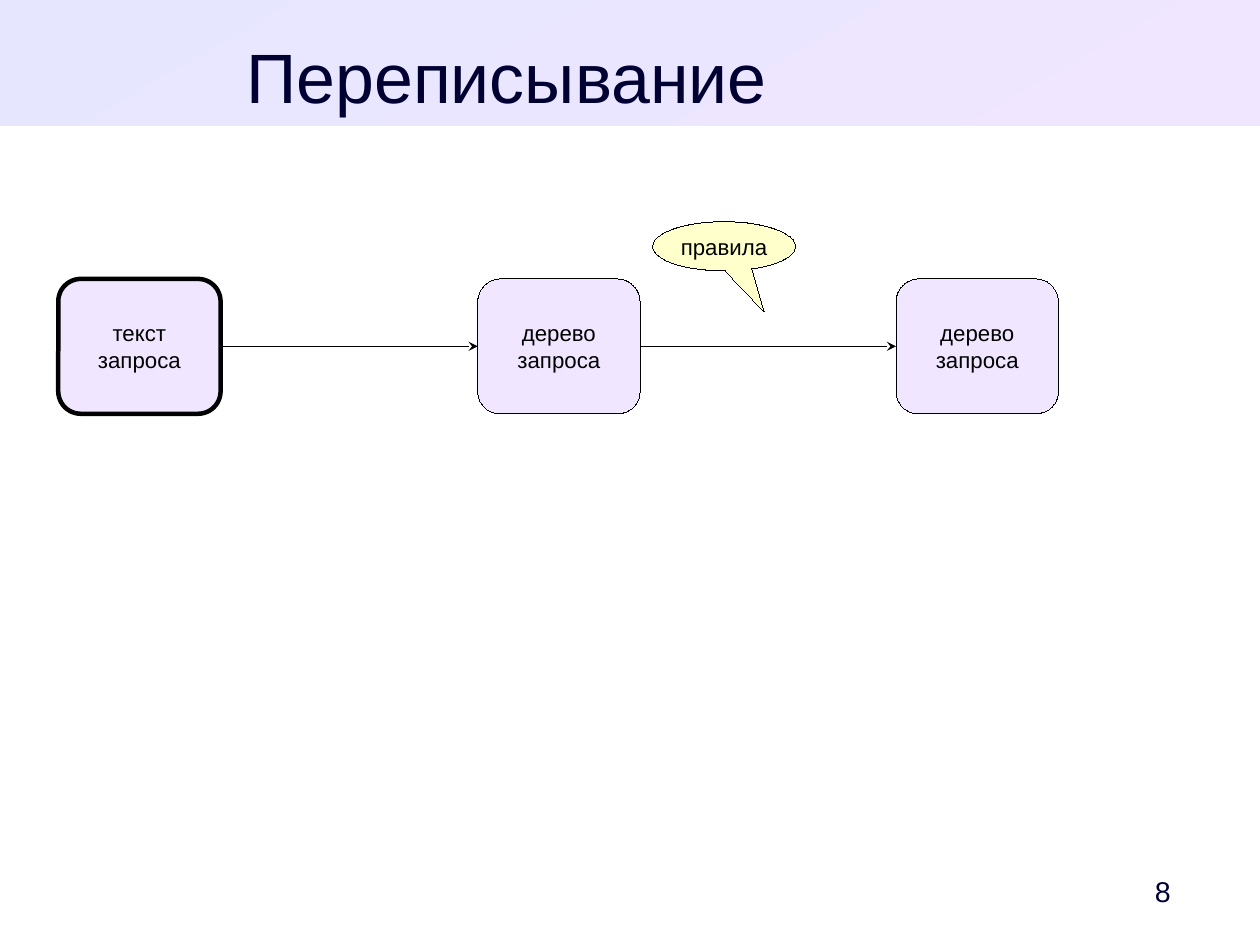
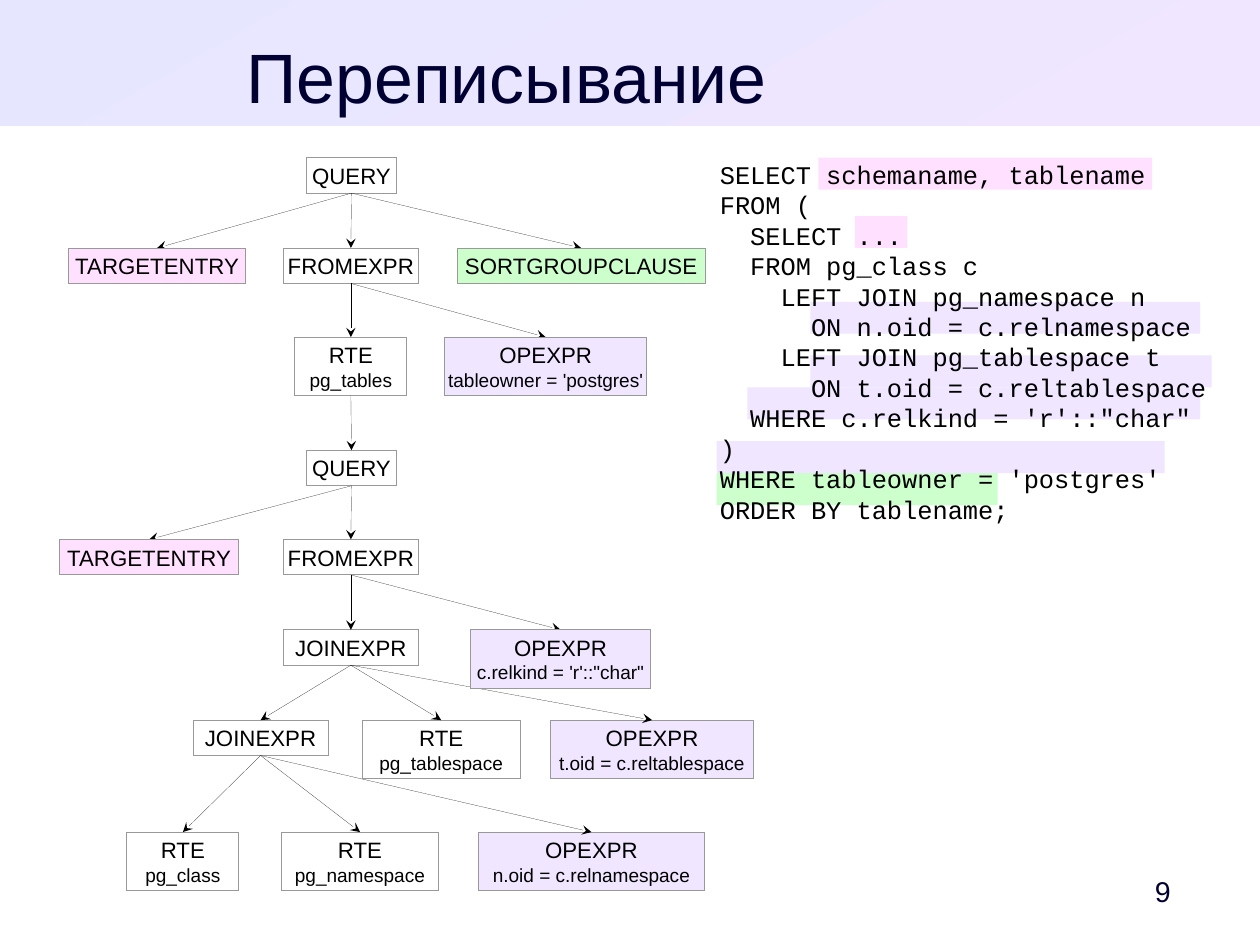
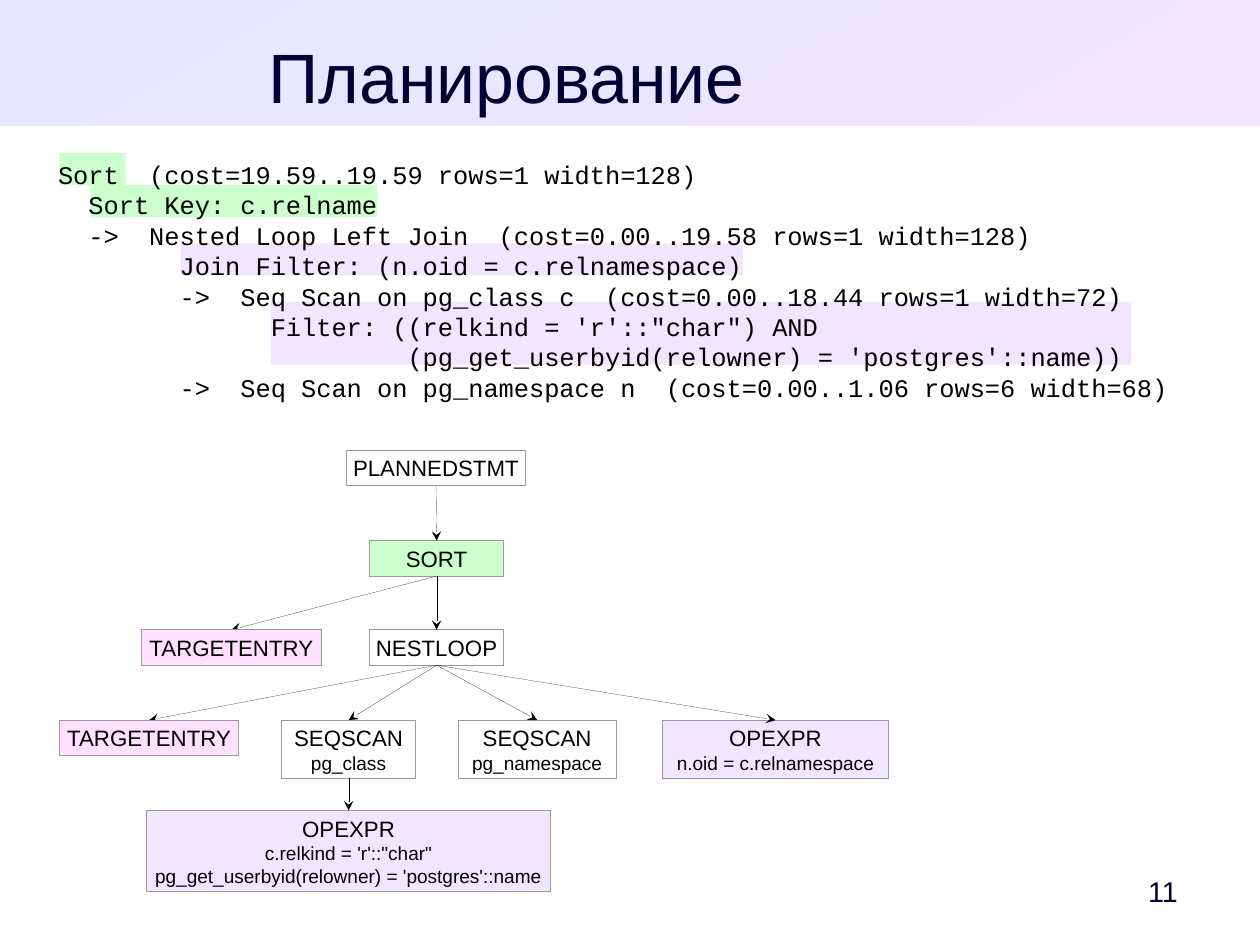
import lxml.etree
import pptx
import pptx.dml.color
import pptx.enum.shapes
import pptx.enum.text
import pptx.oxml.ns
import pptx.util

RGBColor = pptx.dml.color.RGBColor
SHAPE = pptx.enum.shapes.MSO_SHAPE
ANCHOR = pptx.enum.text.MSO_ANCHOR
ALIGN = pptx.enum.text.PP_ALIGN
FIT = pptx.enum.text.MSO_AUTO_SIZE
qn = pptx.oxml.ns.qn

SCALE = 9144  # EMU per px, 100 px to the inch
NAVY = RGBColor(0x00, 0x00, 0x33)
BLACK = RGBColor(0x00, 0x00, 0x00)
GREY = RGBColor(0x99, 0x99, 0x99)
WHITE = RGBColor(0xFF, 0xFF, 0xFF)
BLUE = RGBColor(0xE6, 0xE6, 0xFF)
LILAC = RGBColor(0xF0, 0xE6, 0xFF)
PINK = RGBColor(0xFF, 0xE1, 0xFF)
GREEN = RGBColor(0xCC, 0xFF, 0xCC)
YELLOW = RGBColor(0xFF, 0xFF, 0xCC)

TOP, LEFT, BOTTOM, RIGHT = range(4)  # connection sites of a box


def px(*lengths):
    return [pptx.util.Emu(length * SCALE) for length in lengths]


def write(frame, text, size=14, rest_size=None, font="Arial", color=BLACK,
          align=ALIGN.CENTER, anchor=ANCHOR.MIDDLE, wrap=False,
          fit=FIT.NONE, insets=(10, 5, 10, 5)):
    """Put one paragraph per line; lines after the first take rest_size."""
    frame.word_wrap = wrap
    frame.auto_size = fit
    frame.vertical_anchor = anchor
    (frame.margin_left, frame.margin_top,
     frame.margin_right, frame.margin_bottom) = px(*insets)
    for index, line in enumerate(text.split("\n")):
        para = frame.add_paragraph() if index else frame.paragraphs[0]
        para.alignment = align
        span = para.add_run()
        span.text = line
        span.font.name = font
        span.font.size = pptx.util.Pt(rest_size if index and rest_size else size)
        span.font.color.rgb = color


def outline(shape, color, weight=0):
    """Set the line and return its element; a zero width must be written out."""
    shape.line.color.rgb = color
    line = shape.element.spPr.find(qn("a:ln"))
    line.set("w", str(int(pptx.util.Pt(weight))))
    return line


class Slides:
    """Holds the shared style and the slide being drawn."""

    def __init__(self):
        self.deck = pptx.Presentation()
        self.deck.slide_width = pptx.util.Cm(28)
        self.deck.slide_height = pptx.util.Cm(21)
        self.page = None

    def start(self, title, number):
        self.page = self.deck.slides.add_slide(self.deck.slide_layouts[5])
        if len(self.deck.slides) == 1:
            self.master_band()
        box = self.page.shapes.title
        box.left, box.top, box.width, box.height = px(47, 29, 793, 68)
        write(box.text_frame, title, size=44, color=NAVY, anchor=ANCHOR.TOP,
              wrap=True, insets=(0, 0, 0, 0))
        self.text(969, 756, 87, 47, str(number), size=18, color=NAVY,
                  wrap=True, insets=(10, 5, 0, 5))

    def master_band(self):
        """Draw the title band and move it to the slide master."""
        band = self.shape(0, 0, 0, 110)
        band.width = self.deck.slide_width
        band.fill.gradient()
        band.fill.gradient_angle = 300
        for stop, color, position in zip(band.fill.gradient_stops, (BLUE, LILAC), (0, 1)):
            stop.color.rgb = color
            stop.position = position
        band.element.nvSpPr.cNvPr.id = 99
        self.deck.slide_master.shapes.element.insert(2, band.element)

    def text(self, left, top, width, height, text, **style):
        box = self.page.shapes.add_textbox(*px(left, top, width, height))
        write(box.text_frame, text, **style)

    def shape(self, left, top, width, height, fill=None, line=None, weight=0,
              kind=SHAPE.RECTANGLE):
        shape = self.page.shapes.add_shape(kind, *px(left, top, width, height))
        shape.shadow.inherit = False
        if fill is not None:
            shape.fill.solid()
            shape.fill.fore_color.rgb = fill
        if line is None:
            shape.line.fill.background()
        else:
            outline(shape, line, weight)
        return shape

    def arrow(self, start, start_site, end, end_site):
        arrow = self.page.shapes.add_connector(
            pptx.enum.shapes.MSO_CONNECTOR.STRAIGHT, 0, 0, 0, 0)
        arrow.begin_connect(start, start_site)
        arrow.end_connect(end, end_site)
        line = outline(arrow, BLACK)
        lxml.etree.SubElement(line, qn("a:tailEnd"), type="stealth")
        lxml.etree.SubElement(arrow.element.spPr, qn("a:effectLst"))
        return arrow

    def node(self, left, top, width, text, parent=None, fill=WHITE, tucked=False):
        """Draw a tree node; a tucked one covers the tip of its arrow."""
        height = 31 + 20 * text.count("\n")
        node = self.shape(left, top, width, height, fill, GREY)
        write(node.text_frame, text, rest_size=12)
        if parent is not None:
            arrow = self.arrow(parent, BOTTOM, node, TOP)
            if tucked:
                node.element.addprevious(arrow.element)
        return node

    def stage(self, left, text, previous=None, weight=0):
        stage = self.shape(left, 244, 142, 118, LILAC, BLACK, weight,
                           SHAPE.ROUNDED_RECTANGLE)
        write(stage.text_frame, text)
        if previous is not None:
            self.arrow(previous, RIGHT, stage, LEFT)
        return stage

    def code(self, left, top, width, height, text, marks):
        """Draw code over marks of (left, top, width, height, colour)."""
        for mark in marks:
            self.shape(*mark)
        self.text(left, top, width, height, text, size=16, font="Courier New",
                  align=ALIGN.LEFT, anchor=ANCHOR.TOP, fit=FIT.SHAPE_TO_FIT_TEXT)


QUERY_CODE = """SELECT schemaname, tablename
FROM (
  SELECT ...
  FROM pg_class c
    LEFT JOIN pg_namespace n
      ON n.oid = c.relnamespace
    LEFT JOIN pg_tablespace t
      ON t.oid = c.reltablespace
  WHERE c.relkind = 'r'::"char"
)
WHERE tableowner = 'postgres'
ORDER BY tablename;"""

PLAN_CODE = """Sort  (cost=19.59..19.59 rows=1 width=128)
  Sort Key: c.relname
  ->  Nested Loop Left Join  (cost=0.00..19.58 rows=1 width=128)
        Join Filter: (n.oid = c.relnamespace)
        ->  Seq Scan on pg_class c  (cost=0.00..18.44 rows=1 width=72)
              Filter: ((relkind = 'r'::"char") AND
                       (pg_get_userbyid(relowner) = 'postgres'::name))
        ->  Seq Scan on pg_namespace n  (cost=0.00..1.06 rows=6 width=68)"""


def rewriting_steps(slides):
    slides.start("Переписывание", 8)
    source = slides.stage(51, "текст\nзапроса", weight=2.83)
    tree = slides.stage(418, "дерево\nзапроса", source)
    slides.stage(784, "дерево\nзапроса", tree)
    rules = slides.shape(571, 194, 125, 43, YELLOW, BLACK, kind=SHAPE.OVAL_CALLOUT)
    rules.adjustments[0], rules.adjustments[1] = 0.28, 1.33
    write(rules.text_frame, "правила")


def rewritten_tree(slides):
    slides.start("Переписывание", 9)
    slides.code(620, 134, 446, 312, QUERY_CODE, [
        (654, 339, 396, 28, LILAC),
        (709, 311, 351, 28, LILAC),
        (709, 264, 341, 28, LILAC),
        (748, 189, 46, 28, PINK),
        (716, 138, 292, 28, PINK),
        (627, 414, 246, 28, GREEN),
        (627, 386, 392, 28, LILAC),
    ])
    node = slides.node
    query = node(268, 138, 79, "QUERY")
    node(60, 217, 155, "TARGETENTRY", query, PINK, tucked=True)
    source = node(248, 217, 118, "FROMEXPR", query)
    node(400, 217, 217, "SORTGROUPCLAUSE", query, GREEN, tucked=True)
    view = node(258, 295, 98, "RTE\npg_tables", source)
    node(389, 295, 177, "OPEXPR\ntableowner = 'postgres'", source, LILAC, tucked=True)

    subquery = node(268, 394, 79, "QUERY", view)
    node(52, 472, 157, "TARGETENTRY", subquery, PINK, tucked=True)
    source = node(248, 472, 118, "FROMEXPR", subquery)
    outer_join = node(248, 551, 118, "JOINEXPR", source)
    inner_join = node(169, 630, 118, "JOINEXPR", outer_join)
    node(317, 630, 138, "RTE\npg_tablespace", outer_join)
    node(482, 630, 177, "OPEXPR\nt.oid = c.reltablespace", outer_join, LILAC)
    node(412, 551, 157, "OPEXPR\nc.relkind = 'r'::\"char\"", source, LILAC, tucked=True)
    node(111, 728, 98, "RTE\npg_class", inner_join)
    node(246, 728, 138, "RTE\npg_namespace", inner_join)
    node(419, 728, 197, "OPEXPR\nn.oid = c.relnamespace", inner_join, LILAC)


def planning(slides):
    slides.start("Планирование", 11)
    slides.code(41, 134, 993, 211, PLAN_CODE, [
        (52, 134, 58, 28, GREEN),
        (237, 264, 753, 55, LILAC),
        (158, 213, 492, 28, LILAC),
        (79, 162, 251, 28, GREEN),
    ])
    node = slides.node
    plan = node(303, 394, 157, "PLANNEDSTMT")
    sort = node(323, 473, 118, "SORT", plan, GREEN)
    node(124, 551, 157, "TARGETENTRY", sort, PINK, tucked=True)
    loop = node(323, 551, 118, "NESTLOOP", sort)
    node(52, 630, 157, "TARGETENTRY", loop, PINK, tucked=True)
    scan = node(246, 630, 118, "SEQSCAN\npg_class", loop)
    node(401, 630, 138, "SEQSCAN\npg_namespace", loop)
    node(580, 630, 197, "OPEXPR\nn.oid = c.relnamespace", loop, LILAC)
    node(128, 709, 354, "OPEXPR\nc.relkind = 'r'::\"char\"\n"
         "pg_get_userbyid(relowner) = 'postgres'::name", scan, LILAC)


def main():
    slides = Slides()
    rewriting_steps(slides)
    rewritten_tree(slides)
    planning(slides)
    slides.deck.save("out.pptx")


if __name__ == "__main__":
    main()
